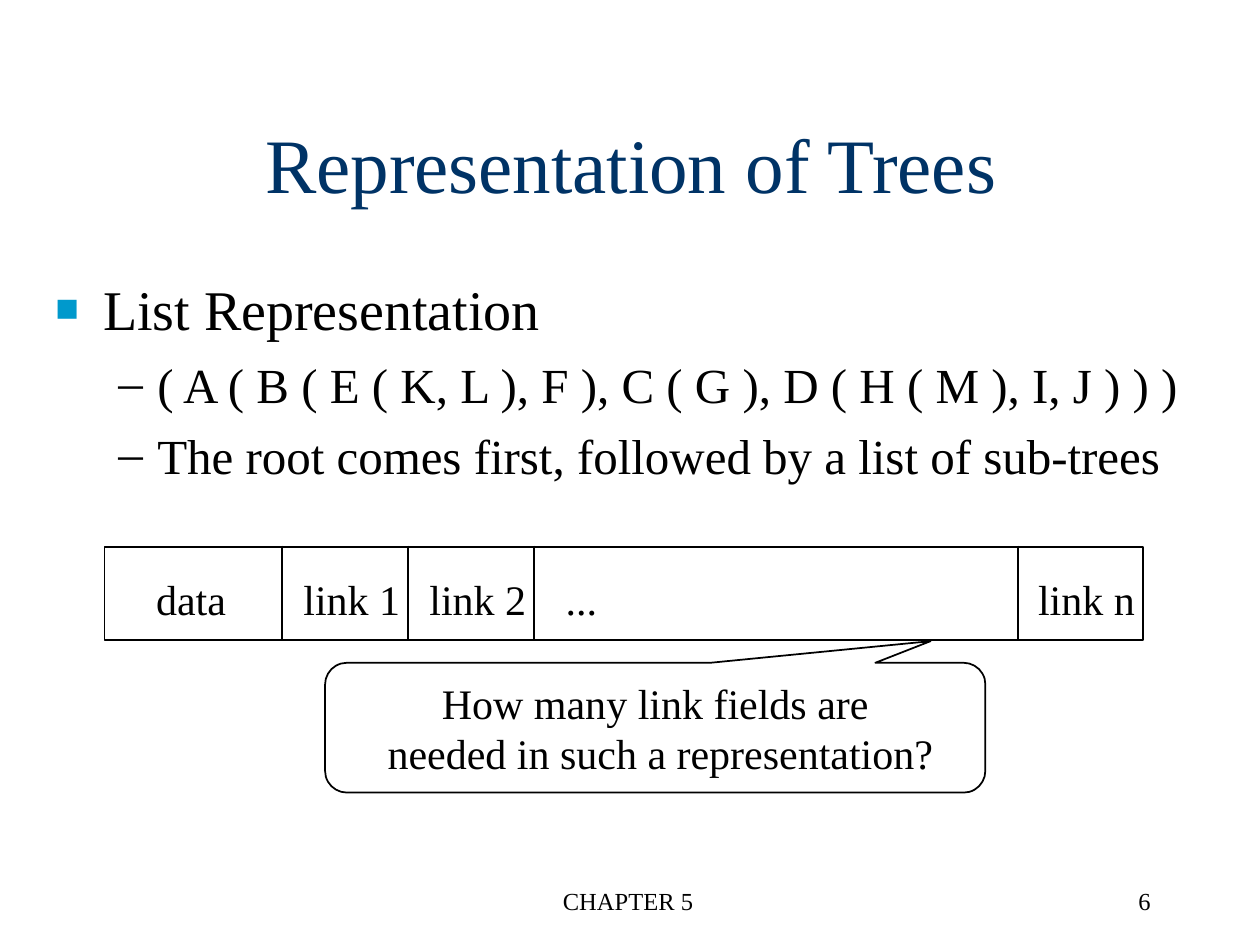
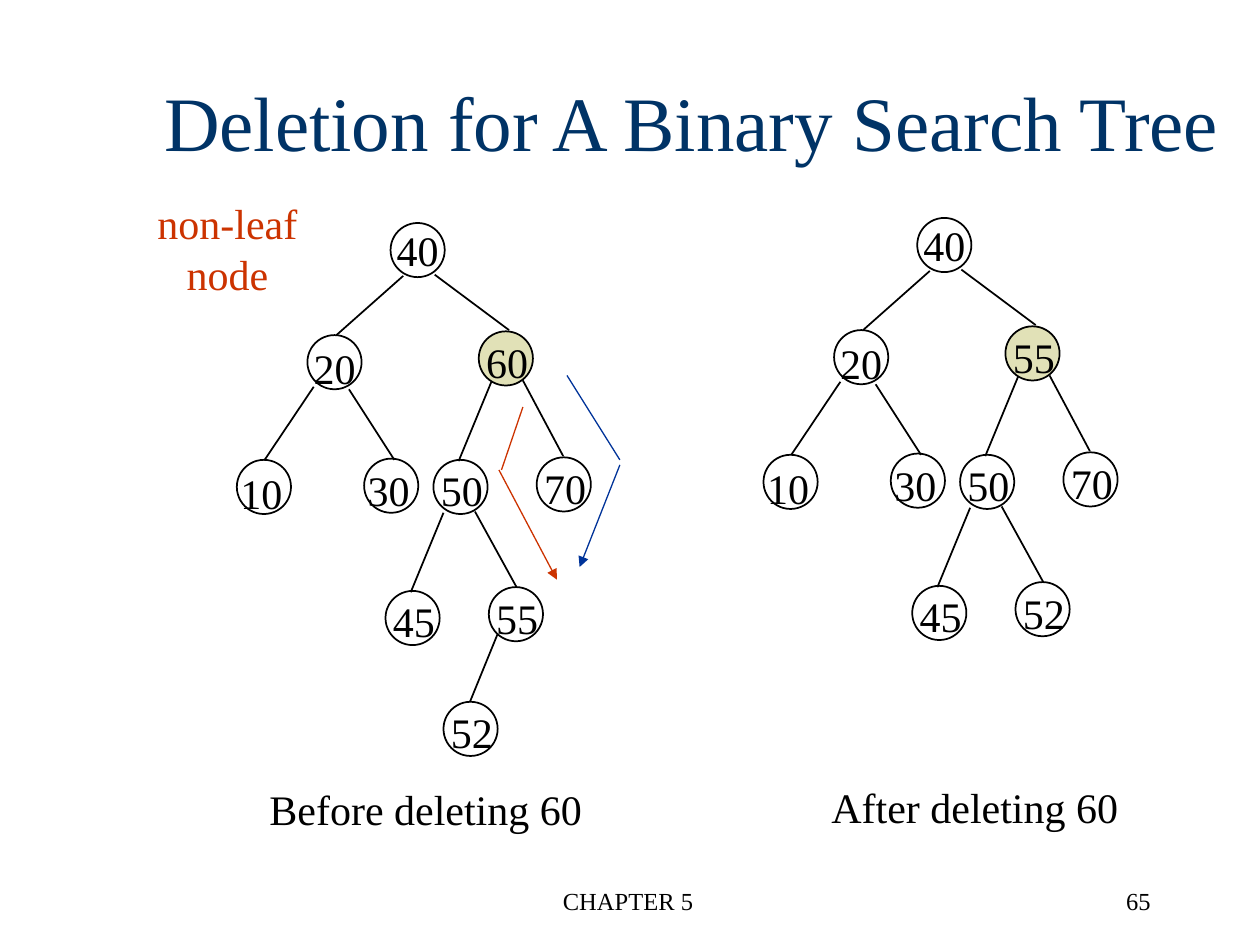
from lxml import etree
from pptx import Presentation
from pptx.dml.color import RGBColor
from pptx.enum.shapes import MSO_CONNECTOR, MSO_SHAPE
from pptx.enum.text import MSO_ANCHOR, MSO_AUTO_SIZE, PP_ALIGN
from pptx.oxml.ns import qn
from pptx.util import Inches, Pt

LEFT, CENTER, RIGHT = PP_ALIGN.LEFT, PP_ALIGN.CENTER, PP_ALIGN.RIGHT
STRAIGHT = MSO_CONNECTOR.STRAIGHT
OVAL, RECTANGLE = MSO_SHAPE.OVAL, MSO_SHAPE.RECTANGLE
CALLOUT = MSO_SHAPE.ROUNDED_RECTANGULAR_CALLOUT
TITLE_ONLY = 5

FONT = "Times New Roman"
BLACK, NAVY, SKY = "000000", "003366", "0099CC"
RED, BLUE, OLIVE = "CC3300", "003399", "E1E1B7"
FOOTER = "CHAPTER 5"

# Slide 1: level, text
OUTLINE = [
    (0, "List Representation"),
    (1, "( A ( B ( E ( K, L ), F ), C ( G ), D ( H ( M ), I, J ) ) )"),
    (1, "The root comes first, followed by a list of sub-trees"),
]
# Level: size, left margin, hanging indent, space before, bullet, colour, percent
LEVELS = [
    (32, 0.38, 0.38, 0, "■", SKY, 70),
    (28, 0.81, 0.31, 7, "–", BLACK, 100),
]
FIELDS = [("data", 1.14, 0.76), ("link 1", 2.31, 0.97), ("link 2", 3.31, 0.97),
          ("...", 4.39, 0.45), ("link n", 8.14, 0.97)]
DIVIDERS = [2.24, 3.24, 4.24, 8.08]
QUESTION = ["How many link fields are", " needed in such a representation?"]

# Slide 2: node left, top, label shift right, label shift down
NODE_SIZE = 0.43
NODES = [
    (3.10, 1.77, 0, 0),
    (2.44, 2.66, -0.05, 0.01),
    (3.80, 2.63, -0.04, -0.01),
    (1.88, 3.65, -0.07, 0.01),
    (2.89, 3.64, -0.07, 0),
    (3.44, 3.65, -0.04, -0.01),
    (4.26, 3.63, -0.04, -0.01),
    (3.06, 4.69, -0.04, -0.01),
    (3.88, 4.66, -0.04, -0.01),
    (3.52, 5.57, -0.04, -0.01),
]
ROOT, CHANGED = 0, 2
# Edge i leads down to node i + 1
EDGES = [
    ((3.20, 2.19), (2.67, 2.66)),
    ((3.45, 2.18), (4.04, 2.62)),
    ((2.49, 3.07), (2.10, 3.65)),
    ((2.77, 3.09), (3.13, 3.65)),
    ((3.90, 3.03), (3.64, 3.66)),
    ((4.15, 3.02), (4.47, 3.62)),
    ((3.52, 4.07), (3.26, 4.70)),
    ((3.77, 4.06), (4.10, 4.66)),
    ((3.95, 5.03), (3.73, 5.57)),
]
# Tree shift right, shift down, keys in node order
TREES = [
    (0, 0, [40, 20, 60, 10, 30, 50, 70, 45, 55, 52]),
    (4.18, -0.04, [40, 20, 55, 10, 30, 50, 70, 45, 52]),
]
CAPTIONS = [("Before deleting 60", 2.04, 6.17, 2.68),
            ("After deleting 60", 6.50, 6.15, 2.48)]
# Search path: start, end, colour, arrowhead
PATHS = [
    ((4.15, 3.23), (3.98, 3.73), RED, False),
    ((3.96, 3.73), (4.42, 4.60), RED, True),
    ((4.50, 2.98), (4.92, 3.65), BLUE, False),
    ((4.92, 3.69), (4.60, 4.50), BLUE, True),
]


def rgb(color):
    return RGBColor.from_string(color)


def style(paragraph, size, color=BLACK, align=LEFT):
    paragraph.alignment = align
    paragraph.font.size = Pt(size)
    paragraph.font.name = FONT
    paragraph.font.color.rgb = rgb(color)


def write(frame, lines, size=24, color=BLACK, align=LEFT):
    for index, line in enumerate(lines):
        paragraph = frame.paragraphs[0] if index == 0 else frame.add_paragraph()
        paragraph.text = line
        style(paragraph, size, color, align)


def add_text(slide, lines, box, size=24, color=BLACK, align=LEFT, wrap=False):
    frame = slide.shapes.add_textbox(*map(Inches, box)).text_frame
    frame.word_wrap = wrap
    frame.auto_size = MSO_AUTO_SIZE.NONE if wrap else MSO_AUTO_SIZE.SHAPE_TO_FIT_TEXT
    write(frame, lines, size, color, align)


def add_outlined(slide, kind, box, lines=(), fill=None):
    shape = slide.shapes.add_shape(kind, *map(Inches, box))
    shape.shadow.inherit = False
    if fill:
        shape.fill.solid()
        shape.fill.fore_color.rgb = rgb(fill)
    else:
        shape.fill.background()
    shape.line.color.rgb = rgb(BLACK)
    shape.line.width = Pt(1)
    shape.text_frame.word_wrap = False
    shape.text_frame.vertical_anchor = MSO_ANCHOR.MIDDLE
    write(shape.text_frame, lines, align=CENTER)
    return shape


def add_line(slide, start, end, color=BLACK, width=1, arrow=False):
    line = slide.shapes.add_connector(STRAIGHT, *map(Inches, (*start, *end)))
    line.line.color.rgb = rgb(color)
    line.line.width = Pt(width)
    if arrow:
        etree.SubElement(line.line._get_or_add_ln(), qn("a:tailEnd"), type="triangle")
    etree.SubElement(line._element.spPr, qn("a:effectLst"))


def add_bullet(paragraph, margin, hanging, character, color, percent):
    properties = paragraph._p.get_or_add_pPr()
    properties.set("marL", str(Inches(margin)))
    properties.set("indent", str(-Inches(hanging)))
    bullet_color = etree.SubElement(properties, qn("a:buClr"))
    etree.SubElement(bullet_color, qn("a:srgbClr"), val=color)
    etree.SubElement(properties, qn("a:buSzPct"), val=str(percent * 1000))
    etree.SubElement(properties, qn("a:buFont"), typeface=FONT)
    etree.SubElement(properties, qn("a:buChar"), char=character)


def add_slide(presentation, title, left, top, number):
    slide = presentation.slides.add_slide(presentation.slide_layouts[TITLE_ONLY])
    shape = slide.shapes.title
    shape.left, shape.top = Inches(left), Inches(top)
    shape.width, shape.height = Inches(10.02), Inches(1.25)
    frame = shape.text_frame
    frame.word_wrap = True
    frame.auto_size = MSO_AUTO_SIZE.NONE
    frame.vertical_anchor = MSO_ANCHOR.MIDDLE
    write(frame, [title], 44, NAVY, CENTER)
    add_text(slide, [FOOTER], (3.4, 6.98, 3.17, 0.5), 14, align=CENTER, wrap=True)
    add_text(slide, [number], (7.15, 6.98, 2.08, 0.5), 14, align=RIGHT, wrap=True)
    return slide


def add_outline(slide):
    frame = slide.shapes.add_textbox(*map(Inches, (0.34, 2.13, 10.02, 4.5))).text_frame
    frame.word_wrap = True
    for index, (level, text) in enumerate(OUTLINE):
        size, margin, hanging, before, character, color, percent = LEVELS[level]
        paragraph = frame.paragraphs[0] if index == 0 else frame.add_paragraph()
        paragraph.text = text
        paragraph.level = level
        add_bullet(paragraph, margin, hanging, character, color, percent)
        paragraph.space_before = Pt(before)
        style(paragraph, size)


def add_tree(slide, right, down, keys):
    for index, (key, (left, top, label_x, label_y)) in enumerate(zip(keys, NODES)):
        x, y = left + right, top + down
        add_outlined(slide, OVAL, (x, y, NODE_SIZE, NODE_SIZE),
                     [str(key)] if index == ROOT else [],
                     OLIVE if index == CHANGED else None)
        if index != ROOT:
            add_text(slide, [str(key)], (x + label_x, y + label_y, 0.54, 0.5))
    for start, end in EDGES[:len(keys) - 1]:
        add_line(slide, (start[0] + right, start[1] + down),
                 (end[0] + right, end[1] + down))


def build_representation(presentation):
    slide = add_slide(presentation, "Representation of Trees", 0, 0.67, "6")
    add_outline(slide)
    # Node record with its fields
    add_outlined(slide, RECTANGLE, (0.83, 4.34, 8.24, 0.74))
    for x in DIVIDERS:
        add_line(slide, (x, 4.33), (x, 5.08))
    for text, left, width in FIELDS:
        add_text(slide, [text], (left, 4.5, width, 0.5))
    # Callout turned upside down, with its text turned back
    callout = add_outlined(slide, CALLOUT, (2.58, 5.26, 5.24, 1.03), QUESTION)
    callout.rotation = 180
    for index, value in enumerate((-0.417, 0.667, 0.167)):
        callout.adjustments[index] = value
    callout.text_frame._txBody.bodyPr.set("rot", str(180 * 60000))


def build_deletion(presentation):
    slide = add_slide(presentation, "Deletion for A Binary Search Tree", 0.48, 0.33, "65")
    for tree in TREES:
        add_tree(slide, *tree)
    for text, left, top, width in CAPTIONS:
        add_text(slide, [text], (left, top, width, 0.5))
    add_text(slide, ["non-leaf", "node"], (1.15, 1.52, 1.31, 0.9), color=RED, align=CENTER)
    for start, end, color, arrow in PATHS:
        add_line(slide, start, end, color, 0.75, arrow)


def main():
    presentation = Presentation()
    presentation.slide_width, presentation.slide_height = Inches(10), Inches(7.5)
    build_representation(presentation)
    build_deletion(presentation)
    presentation.save("out.pptx")


if __name__ == "__main__":
    main()
